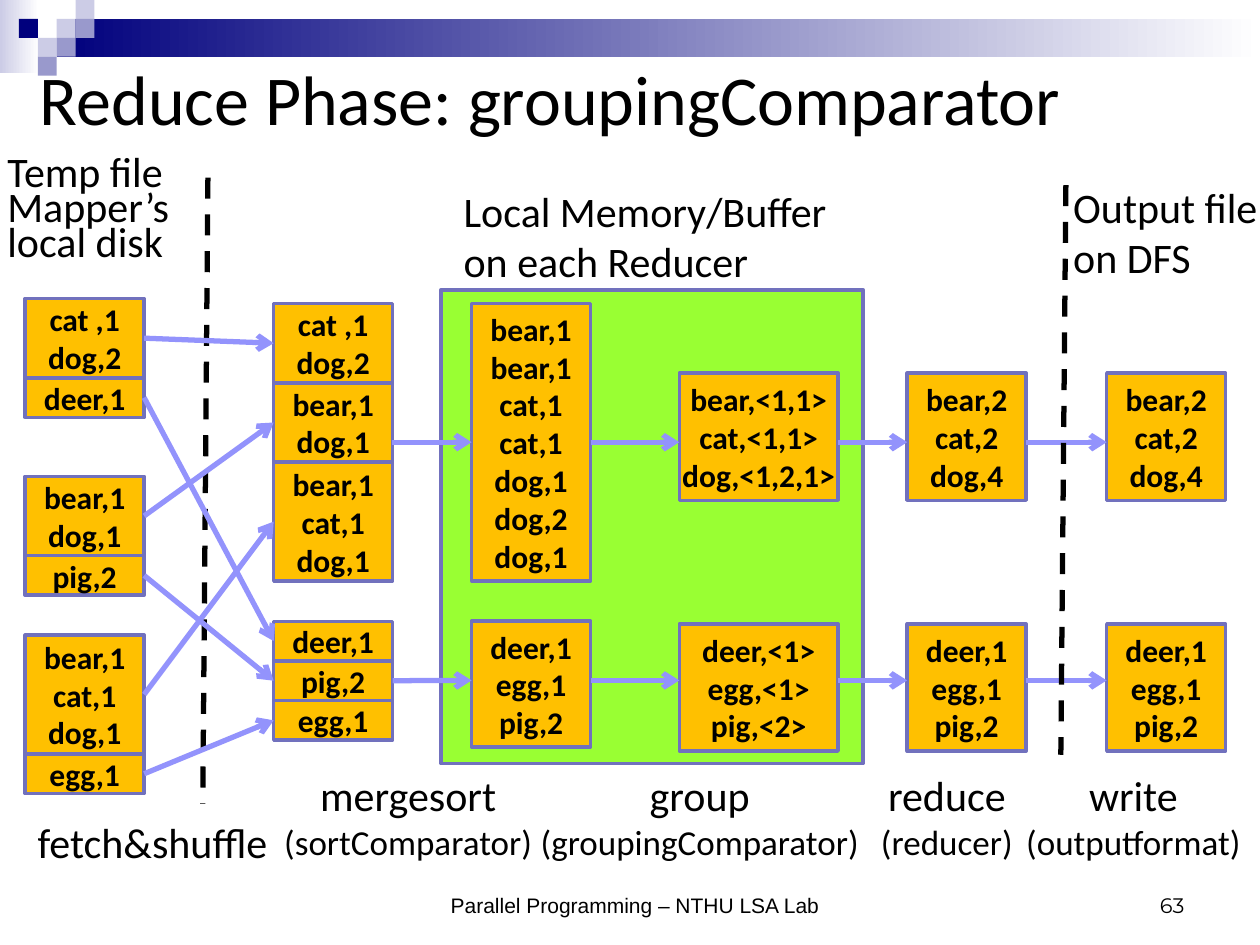
from lxml import etree
from pptx import Presentation
from pptx.dml.color import RGBColor
from pptx.enum.dml import MSO_LINE
from pptx.enum.shapes import MSO_CONNECTOR, MSO_SHAPE
from pptx.enum.text import MSO_ANCHOR, PP_ALIGN
from pptx.oxml.ns import qn
from pptx.util import Pt

RECT = MSO_SHAPE.RECTANGLE
STRAIGHT = MSO_CONNECTOR.STRAIGHT
DASH = MSO_LINE.DASH
TOP, MIDDLE, BOTTOM = MSO_ANCHOR.TOP, MSO_ANCHOR.MIDDLE, MSO_ANCHOR.BOTTOM
LEFT, CENTER, RIGHT = PP_ALIGN.LEFT, PP_ALIGN.CENTER, PP_ALIGN.RIGHT
LEFT_SIDE, RIGHT_SIDE = 1, 3

COLORS = {
    "text": "000000",
    "navy": "00007D",
    "lilac": "CCCCE6",
    "violet": "9999CC",
    "white": "FFFFFF",
    "memory": "99FF33",
    "record": "FFC000",
    "border": "7171BD",
    "arrow": "9393FC",
}
ROW = 22.65
RECORD_WIDTH = 68


def rgb(name):
    return RGBColor.from_string(COLORS[name])


def write(frame, lines, sizes, align=LEFT, anchor=TOP, font="Calibri", bold=False, spacing=None):
    frame.word_wrap = True
    frame.vertical_anchor = anchor
    for i, line in enumerate(lines):
        paragraph = frame.paragraphs[0] if i == 0 else frame.add_paragraph()
        paragraph.text = line
        paragraph.alignment = align
        paragraph.line_spacing = spacing
        paragraph.font.name = font
        paragraph.font.size = Pt(sizes[min(i, len(sizes) - 1)])
        paragraph.font.bold = bold
        paragraph.font.color.rgb = rgb("text")


def add_label(slide, box, lines, sizes, **style):
    label = slide.shapes.add_textbox(*map(Pt, box))
    write(label.text_frame, lines, sizes, **style)


def add_rect(slide, box, fill, border=None):
    rect = slide.shapes.add_shape(RECT, *map(Pt, box))
    rect.shadow.inherit = False
    if isinstance(fill, tuple):
        rect.fill.gradient()
        rect.fill.gradient_angle = 0
        for stop, position, name in zip(rect.fill.gradient_stops, (0, 1), fill):
            stop.position = position
            stop.color.rgb = rgb(name)
    else:
        rect.fill.solid()
        rect.fill.fore_color.rgb = rgb(fill)
    if border:
        rect.line.color.rgb = rgb(border)
        rect.line.width = Pt(2)
    else:
        rect.line.fill.background()
    return rect


def add_records(slide, box, lines, side_inset=7.2):
    records = add_rect(slide, box, "record", "border")
    frame = records.text_frame
    frame.margin_left = frame.margin_right = Pt(side_inset)
    write(frame, lines, [18], align=CENTER, anchor=MIDDLE, bold=True)
    return records


def add_stack(slide, left, top, blocks):
    stack = []
    for lines in blocks:
        height = ROW * sum(len(line.split(",")) - 1 for line in lines)
        stack.append(add_records(slide, (left, top, RECORD_WIDTH, height), lines))
        top += height
    return stack


def add_line(slide, start, end, color):
    line = slide.shapes.add_connector(STRAIGHT, *map(Pt, start + end))
    line.line.color.rgb = rgb(color)
    line.line.width = Pt(3)
    etree.SubElement(line._element.spPr, qn("a:effectLst"))
    return line


def add_arrow(slide, start, end):
    arrow = add_line(slide, start, end, "arrow")
    etree.SubElement(arrow.line._get_or_add_ln(), qn("a:tailEnd"), type="arrow")
    return arrow


def add_divider(slide, start, end):
    add_line(slide, start, end, "text").line.dash_style = DASH


def add_header(slide, box):
    left, top, width, _ = box
    add_rect(slide, (left, top, 22.3, 41.8), ("lilac", "white"))
    add_rect(slide, (left + 32.4, top + 10.8, width - 32.4, 21.6), ("navy", "white"))
    tile = 10.8
    tiles = [(3, 1, "lilac"), (4, 0, "lilac"), (4, 1, "violet"), (2, 2, "lilac"),
             (1, 1, "navy"), (3, 2, "violet"), (2, 3, "violet")]
    for column, row, color in tiles:
        add_rect(slide, (left + tile * column, top + tile * row, tile, tile), color)


def add_fetch_column(slide, left):
    files = [
        (170.6, [["cat ,1", "dog,2"], ["deer,1"]]),
        (272.2, [["bear,1", "dog,1"], ["pig,2"]]),
        (362.9, [["bear,1 cat,1", "dog,1"], ["egg,1"]]),
    ]
    return [add_stack(slide, left, top, blocks) for top, blocks in files]


def add_shuffle(slide, files, inputs):
    for position, blocks in enumerate(files):
        for block, reducer in zip(blocks, inputs):
            arrow = add_arrow(slide, (0, 0), (0, 0))
            arrow.begin_connect(block, RIGHT_SIDE)
            arrow.end_connect(reducer[position], LEFT_SIDE)


def add_lane(slide, level, merged, stages):
    previous, right = merged, 224.3
    for left, top, width, height, lines, inset in stages:
        target = add_records(slide, (left, top, width, height), lines, inset)
        arrow = add_arrow(slide, (right, level), (left, level))
        if abs(previous.top + previous.height / 2 - Pt(level)) < Pt(1):
            arrow.begin_connect(previous, RIGHT_SIDE)
        if abs(target.top + target.height / 2 - Pt(level)) < Pt(1):
            arrow.end_connect(target, LEFT_SIDE)
        previous, right = target, left + width


def add_reducers(slide, files):
    upper = add_stack(slide, 156.4, 173.5,
                      [["cat ,1", "dog,2"], ["bear,1", "dog,1"], ["bear,1 cat,1", "dog,1"]])
    lower = add_stack(slide, 156.4, 355, [["deer,1"], ["pig,2"], ["egg,1"]])
    add_shuffle(slide, files, [upper, lower])

    counts = ["bear,2", "cat,2", "dog,4"]
    singles = ["deer,1", "egg,1", "pig,2"]
    lanes = [
        (252.7, upper[1], 173.5, 158.4, 213.2,
         ["bear,1", "bear,1 cat,1", "cat,1", "dog,1", "dog,2", "dog,1"],
         ["bear,<1,1>", "cat,<1,1>", "dog,<1,2,1>"], counts),
        (388.8, lower[1], 355, 72, 356.5,
         singles, ["deer,<1>", "egg,<1>", "pig,<2>"], singles),
    ]
    for level, merged, sort_top, sort_height, top, ordered, grouped, reduced in lanes:
        add_lane(slide, level, merged, [
            (269.5, sort_top, RECORD_WIDTH, sort_height, ordered, 7.2),
            (388.2, top, 90.7, 72.7, grouped, 0),
            (518.4, top, RECORD_WIDTH, 72.7, reduced, 0),
            (632.4, top, RECORD_WIDTH, 72.7, reduced, 0),
        ])


def add_places(slide):
    add_label(slide, (-2.9, 88.6, 141.8, 69), ["Temp file Mapper’s", "local disk"], [24],
              spacing=Pt(20))
    add_label(slide, (257.8, 102.2, 241.2, 65.5), ["Local Memory/Buffer on each Reducer"], [24])
    add_label(slide, (606.2, 100.1, 124.6, 65.5), ["Output file", "on DFS"], [24])


def add_steps(slide, top):
    add_label(slide, (14.4, top + 26.6, 176.4, 36), ["fetch&shuffle"], [24])
    steps = [
        (144.7, 177.1, "mergesort", "(sortComparator)"),
        (235.4, 329, "group", "(groupingComparator)"),
        (478.8, 124.6, "reduce", "(reducer)"),
        (575.3, 144.7, "write", "(outputformat)"),
    ]
    for left, width, step, component in steps:
        add_label(slide, (left, top, width, 60.5), [step, component], [24, 20], align=CENTER)


def add_footer(slide, top):
    add_label(slide, (221.8, top, 282.2, 36), ["Parallel Programming – NTHU LSA Lab"], [12],
              align=CENTER, anchor=BOTTOM, font="Arial")
    add_label(slide, (516.2, top, 167.8, 36), ["63"], [12],
              align=RIGHT, anchor=BOTTOM, font="Montserrat")


def main():
    deck = Presentation()
    deck.slide_width, deck.slide_height = Pt(720), Pt(540)
    slide = deck.slides.add_slide(deck.slide_layouts[6])
    add_header(slide, (0, 0, 720, 43.2))
    add_label(slide, (15.8, 21.6, 684, 68.4), ["Reduce Phase: groupingComparator"], [40],
              anchor=MIDDLE)
    add_rect(slide, (252, 165.6, 241.2, 270.7), "memory", "border")
    add_divider(slide, (118.8, 101.5), (115.9, 459.4))
    files = add_fetch_column(slide, 14.4)
    add_reducers(slide, files)
    add_divider(slide, (609.1, 105.8), (606.2, 431.3))
    add_places(slide)
    add_steps(slide, 436.3)
    add_footer(slide, 491.8)
    deck.save("out.pptx")


if __name__ == "__main__":
    main()
